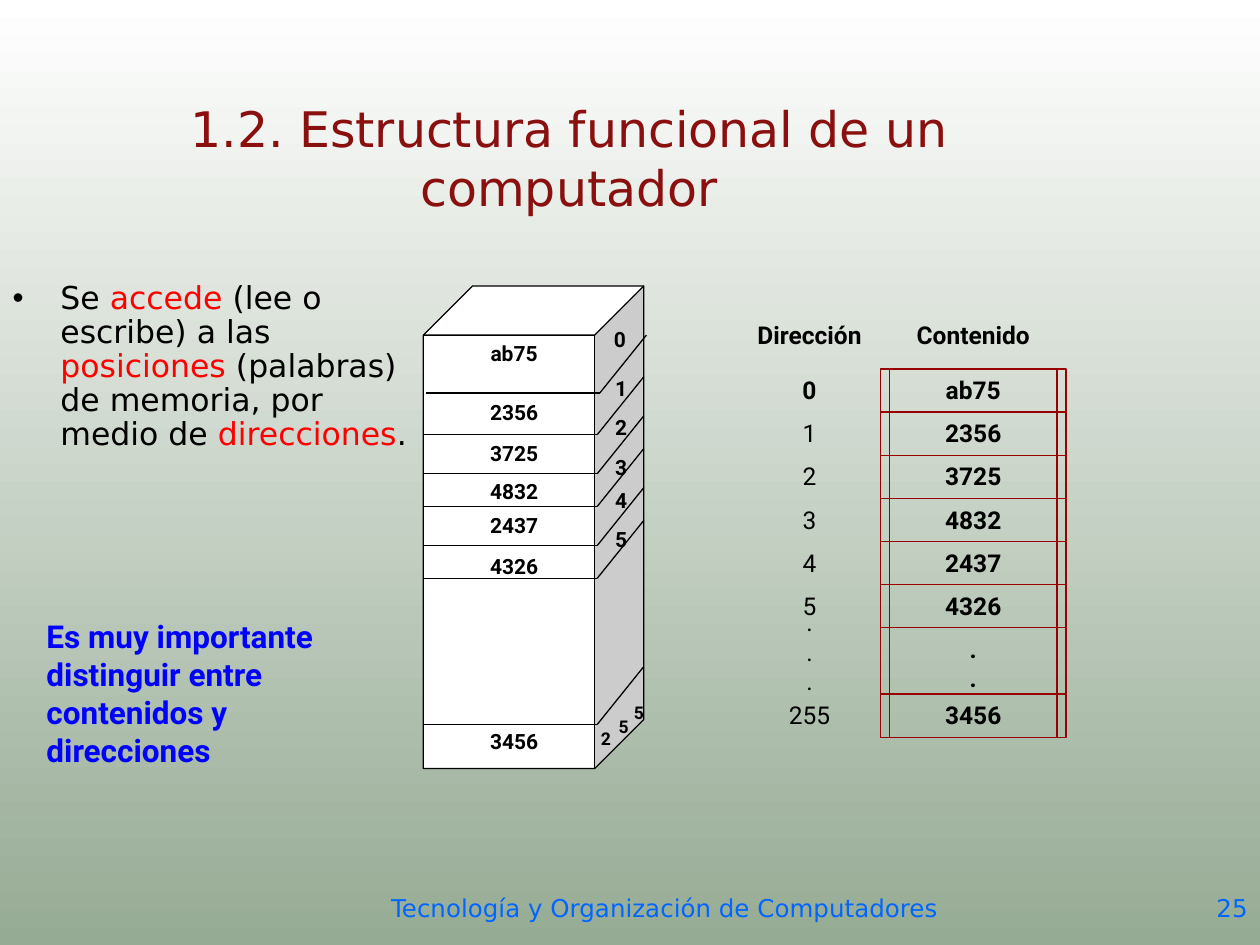
from lxml import etree
from pptx import Presentation
from pptx.dml.color import RGBColor
from pptx.enum import shapes, text
from pptx.oxml.ns import qn
from pptx.util import Inches, Pt

SANS, ROBOTO = "DejaVu Sans", "Roboto"
BLACK, RED, DARK_RED, BLUE = "000000", "FF0000", "990000", "0066FF"
LEFT, CENTER, RIGHT = text.PP_ALIGN.LEFT, text.PP_ALIGN.CENTER, text.PP_ALIGN.RIGHT

# Content
TITLE = "1.2. Estructura funcional de un computador"
BODY = [
    ("Se ", BLACK), ("accede", RED), (" (lee o escribe) a las ", BLACK),
    ("posiciones", RED), (" (palabras) de memoria, por medio de ", BLACK),
    ("direcciones", RED), (".", BLACK),
]
NOTE = "Es muy importante distinguir entre contenidos y direcciones"
FOOTER = "Tecnología y Organización de Computadores"
PAGE = "25"

# Memory block: word and top of its label
WORDS = [("ab75", 2.65), ("2356", 3.12), ("3725", 3.45), ("4832", 3.75),
         ("2437", 4.02), ("4326", 4.34), ("3456", 5.73)]
# Address digit, left, top and size on the side face
DIGITS = [("0", 4.74, 2.54, 12), ("1", 4.75, 2.93, 12), ("2", 4.75, 3.24, 12),
          ("3", 4.75, 3.56, 12), ("4", 4.75, 3.82, 12), ("5", 4.75, 4.13, 12),
          ("2", 4.63, 5.73, 10), ("5", 4.77, 5.63, 10), ("5", 4.89, 5.52, 10)]
# Left and height of each division between words
DIVISIONS = [(3.38, 3.12), (3.36, 3.45), (3.36, 3.76), (3.36, 4.02),
             (3.36, 4.33), (3.36, 4.59), (3.36, 5.75)]

# Address list: address, content, row height
ROW = 2.05 / 6
ADDRESSES = [("0", "ab75", ROW), ("1", "2356", ROW), ("2", "3725", ROW),
             ("3", "4832", ROW), ("4", "2437", ROW), ("5", "4326", ROW),
             (".\n.\n.", ".\n.", 0.53), ("255", "3456", ROW)]


def rgb(value):
    return RGBColor.from_string(value)


def inches(*values):
    return [Inches(value) for value in values]


def style(font, size, name, color, bold=False):
    font.size, font.name, font.bold = Pt(size), name, bold
    font.color.rgb = rgb(color)


def write(shape, content, size, name=ROBOTO, color=BLACK, bold=False, align=CENTER):
    frame = shape.text_frame
    frame.text = content
    frame.word_wrap = True
    frame.vertical_anchor = text.MSO_ANCHOR.TOP
    for paragraph in frame.paragraphs:
        paragraph.alignment = align
        for run in paragraph.runs:
            style(run.font, size, name, color, bold)


def add_text(parent, box, *args, **kwargs):
    write(parent.add_textbox(*inches(*box)), *args, **kwargs)


def add_box(parent, kind, box, line, width=0.75, fill=None):
    shape = parent.add_shape(kind, *inches(*box))
    shape.shadow.inherit = False
    if fill:
        shape.fill.solid()
        shape.fill.fore_color.rgb = rgb(fill)
    else:
        shape.fill.background()
    shape.line.color.rgb = rgb(line)
    shape.line.width = Pt(width)
    return shape


def add_line(parent, *ends):
    line = parent.add_connector(shapes.MSO_CONNECTOR.STRAIGHT, *inches(*ends))
    line.line.color.rgb = rgb(BLACK)
    line.line.width = Pt(0.75)
    etree.SubElement(line._element.spPr, qn("a:effectLst"))


def place(shape, box):
    shape.left, shape.top, shape.width, shape.height = inches(*box)
    shape.text_frame.word_wrap = True
    shape.text_frame.auto_size = text.MSO_AUTO_SIZE.NONE


def add_bullet(paragraph):
    properties = paragraph._p.get_or_add_pPr()
    properties.set("marL", str(Inches(0.38)))
    properties.set("indent", str(Inches(-0.38)))
    color = etree.SubElement(properties, qn("a:buClr"))
    etree.SubElement(color, qn("a:srgbClr"), val=BLACK)
    etree.SubElement(properties, qn("a:buChar"), char="•")


def add_memory(slide):
    memory = slide.shapes.add_group_shape().shapes
    cube = add_box(memory, shapes.MSO_SHAPE.CUBE, (3.36, 2.27, 1.75, 3.83), BLACK, fill="FFFFFF")
    cube.adjustments[0] = 0.223
    for left, top in DIVISIONS:
        edge = left + 1.38
        add_line(memory, left, top, edge, top)
        add_line(memory, edge, top, edge + 0.37, top - 0.46)
    for digit, left, top, size in DIGITS:
        add_text(memory, (left, top, 0.36, 0.31), digit, size, bold=True)
    for word, top in WORDS:
        add_text(memory, (3.69, top, 0.78, 0.38), word, 12, bold=True)


def add_addresses(slide):
    listing = slide.shapes.add_group_shape().shapes
    for heading, left, width in (("Dirección", 5.79, 1.27), ("Contenido", 7.06, 1.33)):
        add_text(listing, (left, 2.49, width, 0.44), heading, 14, bold=True)
    top = 2.93
    for address, content, height in ADDRESSES:
        # The dots of the address column start higher than their row
        address_top = 4.77 if "\n" in address else top
        add_text(listing, (5.79, address_top, 1.27, height), address, 14, bold=address == "0")
        cell = add_box(listing, shapes.MSO_SHAPE.RECTANGLE, (7.06, top, 1.33, height), DARK_RED)
        write(cell, content, 14, bold=True)
        add_box(listing, shapes.MSO_SHAPE.RECTANGLE, (6.99, top, 1.47, height), DARK_RED, 0)
        top += height


def main():
    presentation = Presentation()
    presentation.slide_width, presentation.slide_height = inches(10, 7.5)
    slide = presentation.slides.add_slide(presentation.slide_layouts[1])

    # Background
    background = slide.background.fill
    background.gradient()
    background.gradient_angle = 270
    for stop, color in zip(background.gradient_stops, ("FFFFFF", "96AB94")):
        stop.color.rgb = rgb(color)

    # Title
    title = slide.shapes.title
    place(title, (0.2, 0.63, 8.63, 1.24))
    write(title, TITLE, 28, SANS, "8A1010")
    title.text_frame.vertical_anchor = text.MSO_ANCHOR.MIDDLE

    # Body
    body = slide.placeholders[1]
    place(body, (0, 2.19, 3.36, 2.21))
    paragraph = body.text_frame.paragraphs[0]
    add_bullet(paragraph)
    paragraph.line_spacing = 0.9
    paragraph.space_before = Pt(0)
    for content, color in BODY:
        run = paragraph.add_run()
        run.text = content
        style(run.font, 18, SANS, color)

    add_memory(slide)
    add_text(slide.shapes, (0.27, 4.85, 2.58, 1.3), NOTE, 18, color="0000FF", bold=True, align=LEFT)
    add_addresses(slide)

    # Footer
    add_text(slide.shapes, (8.55, 7.04, 1.45, 0.46), PAGE, 14, SANS, BLUE, align=RIGHT)
    add_text(slide.shapes, (2.11, 7.04, 6.33, 0.46), FOOTER, 14, SANS, BLUE)

    presentation.save("out.pptx")


if __name__ == "__main__":
    main()
